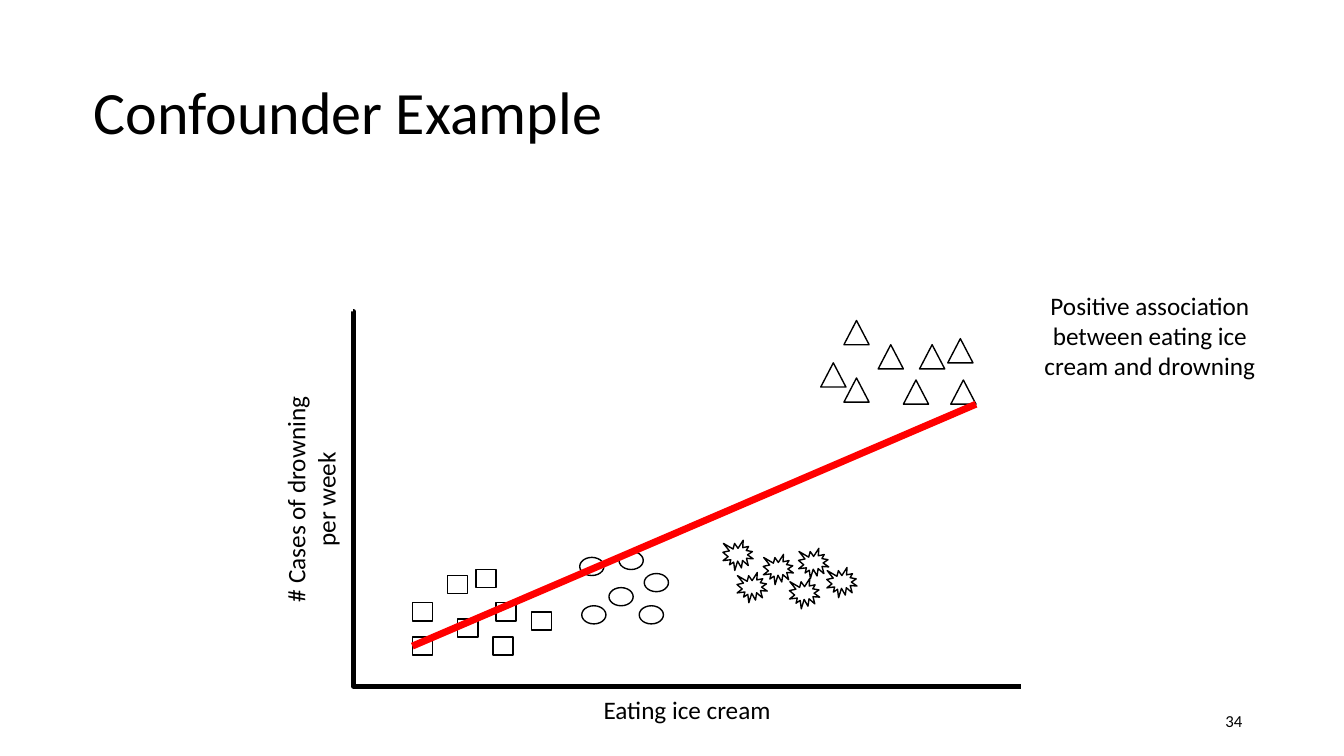
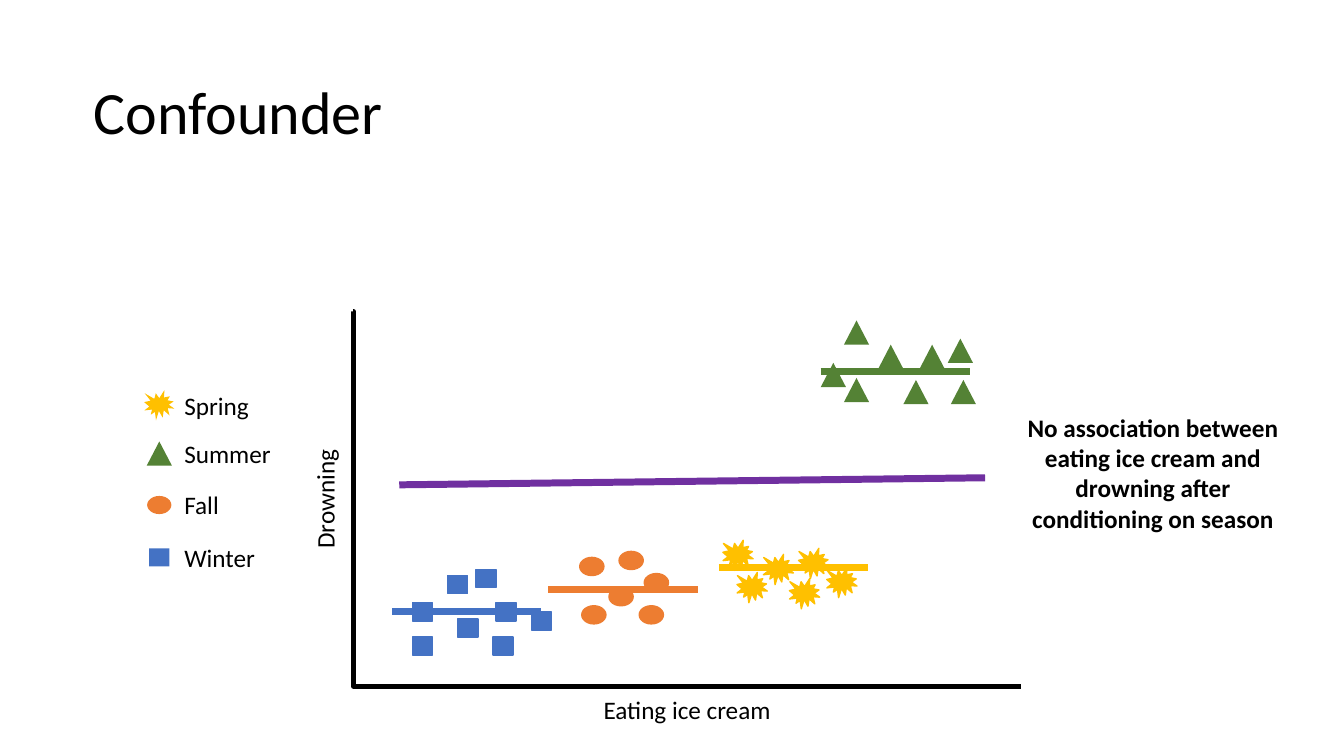
from dataclasses import dataclass

from lxml.etree import SubElement
from pptx import Presentation
from pptx.dml.color import RGBColor
from pptx.enum.shapes import MSO_CONNECTOR, MSO_SHAPE
from pptx.enum.text import MSO_ANCHOR, PP_ALIGN
from pptx.oxml.ns import qn
from pptx.util import Inches, Pt

FONT = "Calibri"
BLACK, RED, PURPLE = "000000", "FF0000", "7030A0"
PLOT_BOX = (3.5, 3.09, 6.63, 3.72)
MEAN_LENGTH = 1.48


@dataclass
class Season:
    """A group of points, placed relative to the top left of the plot."""
    name: str
    shape: MSO_SHAPE
    size: tuple
    colour: str
    edged: bool
    mean: tuple
    points: list
    legend_top: float


WINTER = Season("Winter", MSO_SHAPE.RECTANGLE, (0.2, 0.18), "4472C4", True, (0.39, 2.98),
                [(1.39, 3.23), (0.59, 2.89), (0.94, 2.62), (1.22, 2.56),
                 (1.04, 3.05), (1.42, 2.89), (1.77, 2.98), (0.59, 3.23)], 1.51)
SUMMER = Season("Summer", MSO_SHAPE.ISOSCELES_TRIANGLE, (0.25, 0.24), "548235", False, (4.64, 0.6),
                [(4.87, 0.09), (5.21, 0.33), (4.87, 0.66), (5.62, 0.33),
                 (5.46, 0.68), (5.9, 0.27), (5.93, 0.68), (4.64, 0.51)], 0.48)
FALL = Season("Fall", MSO_SHAPE.OVAL, (0.24, 0.18), "ED7D31", True, (1.94, 2.76),
              [(2.25, 2.44), (2.64, 2.38), (2.54, 2.74),
               (2.89, 2.6), (2.27, 2.92), (2.84, 2.92)], 0.99)
SPRING = Season("Spring", MSO_SHAPE.EXPLOSION1, (0.3, 0.3), "FFC000", True, (3.63, 2.54),
                [(3.67, 2.27), (3.81, 2.59), (4.07, 2.41),
                 (4.42, 2.35), (4.33, 2.65), (4.7, 2.54)], 0)
PLOT_ORDER = [WINTER, SUMMER, FALL, SPRING]
MEAN_ORDER = [WINTER, FALL, SPRING, SUMMER]
LEGEND_ORDER = [SPRING, SUMMER, FALL, WINTER]


def rgb(colour):
    """Turn a hex string into a colour."""
    return RGBColor.from_string(colour)


def add_text(shapes, box, text, size=18, align=PP_ALIGN.CENTER, bold=False,
             anchor=MSO_ANCHOR.TOP, wrap=True):
    """Add a one-paragraph text box."""
    label = shapes.add_textbox(*map(Inches, box))
    frame = label.text_frame
    frame.word_wrap = wrap
    frame.vertical_anchor = anchor
    frame.text = text
    para = frame.paragraphs[0]
    para.alignment = align
    font = para.runs[0].font
    font.name, font.size, font.bold = FONT, Pt(size), bold
    font.color.rgb = rgb(BLACK)
    return label


def add_line(page, start, end, colour, width, kind=MSO_CONNECTOR.STRAIGHT):
    """Draw a connector without a shadow."""
    line = page.shapes.add_connector(kind, *map(Inches, (*start, *end)))
    line.line.color.rgb = rgb(colour)
    line.line.width = Pt(width)
    SubElement(line.element.spPr, qn("a:effectLst"))
    return line


def add_marker(shapes, season, left, top, fill, edge):
    """Draw one point of a season; a missing fill or edge stays empty."""
    marker = shapes.add_shape(season.shape, *map(Inches, (left, top, *season.size)))
    marker.shadow.inherit = False
    if fill:
        marker.fill.solid()
        marker.fill.fore_color.rgb = rgb(fill)
    else:
        marker.fill.background()
    if edge:
        marker.line.color.rgb = rgb(edge)
        marker.line.width = Pt(1)
    else:
        marker.line.fill.background()


def add_axes(page, box):
    """Draw both axes as one elbow hugging the left and bottom of the box."""
    left, top, width, height = box
    axes = add_line(page, (left, top), (left + width, top + height), BLACK, 3, MSO_CONNECTOR.ELBOW)
    geometry = axes.element.spPr.find(qn("a:prstGeom"))
    adjustments = geometry.find(qn("a:avLst"))
    if adjustments is None:
        adjustments = SubElement(geometry, qn("a:avLst"))
    SubElement(adjustments, qn("a:gd"), name="adj1", fmla="val 100")


def add_plot(page, box, axis_title, axis_title_box, coloured):
    """Draw axes, axis titles and the points of all seasons."""
    left, top, _, height = box
    add_axes(page, box)
    x, y, *size = axis_title_box
    add_text(page.shapes, (left + x, top + y, *size), axis_title).rotation = 270
    add_text(page.shapes, (left + 2.05, top + height + 0.03, 2.53, 0.4), "Eating ice cream")
    for season in PLOT_ORDER:
        fill = season.colour if coloured else None
        edge = BLACK if not coloured else season.colour if season.edged else None
        for x, y in season.points:
            add_marker(page.shapes, season, left + x, top + y, fill, edge)


def add_plot_line(page, box, start, end, colour):
    """Draw a thick line whose ends are relative to the plot."""
    left, top = box[:2]
    add_line(page, (left + start[0], top + start[1]), (left + end[0], top + end[1]), colour, 5)


def add_means(page, box):
    """Draw a level line through each season."""
    for season in MEAN_ORDER:
        x, y = season.mean
        add_plot_line(page, box, (x, y), (x + MEAN_LENGTH, y), season.colour)


def add_legend(page, left, top):
    """List the seasons with their markers in one group."""
    shapes = page.shapes.add_group_shape().shapes
    for season in LEGEND_ORDER:
        width, height = season.size
        row_top = top + season.legend_top
        add_marker(shapes, season, left + 0.15 - width / 2, row_top + 0.2 - height / 2,
                   season.colour, None)
        add_text(shapes, (left + 0.3, row_top, 1.07, 0.4), season.name,
                 align=PP_ALIGN.LEFT, wrap=False)


def add_page(deck, title):
    """Add a blank slide with its title."""
    page = deck.slides.add_slide(deck.slide_layouts[6])
    add_text(page.shapes, (0.83, 0.47, 12, 1.25), title, 42.9, PP_ALIGN.LEFT,
             anchor=MSO_ANCHOR.MIDDLE)
    return page


def add_example_page(deck):
    """Show the apparent association over all points."""
    page = add_page(deck, "Confounder Example")
    add_text(page.shapes, (9.42, 6.95, 3, 0.4), "34", 12, PP_ALIGN.RIGHT, anchor=MSO_ANCHOR.MIDDLE)
    add_plot(page, PLOT_BOX, "# Cases of drowning per week", (-1.69, 1.51, 2.55, 0.71), False)
    add_plot_line(page, PLOT_BOX, (0.59, 3.32), (6.18, 0.92), RED)
    add_text(page.shapes, (10.14, 2.83, 2.53, 1.01),
             "Positive association between eating ice cream and drowning")


def add_season_page(deck):
    """Show the points by season, with no association left."""
    page = add_page(deck, "Confounder")
    add_plot(page, PLOT_BOX, "Drowning", (-1.13, 1.66, 1.7, 0.4), True)
    add_legend(page, 1.43, 3.82)
    add_means(page, PLOT_BOX)
    add_text(page.shapes, (9.92, 4.04, 3.03, 1.31),
             "No association between eating ice cream and drowning after conditioning on season",
             bold=True)
    add_plot_line(page, PLOT_BOX, (0.46, 1.72), (6.27, 1.65), PURPLE)


def main():
    """Build and save the deck."""
    deck = Presentation()
    deck.slide_width, deck.slide_height = Inches(13.33), Inches(7.5)
    add_example_page(deck)
    add_season_page(deck)
    deck.save("out.pptx")


if __name__ == "__main__":
    main()
